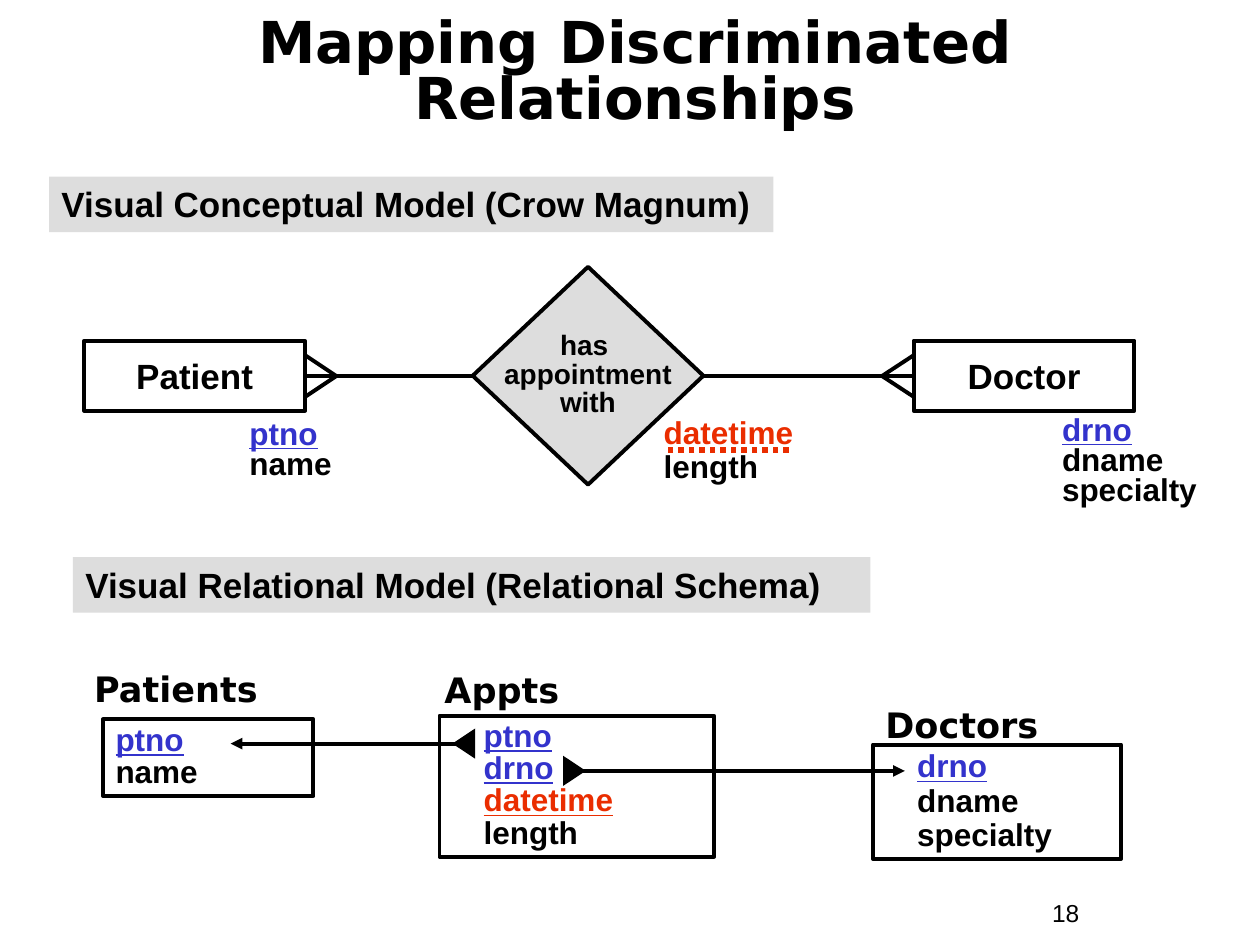
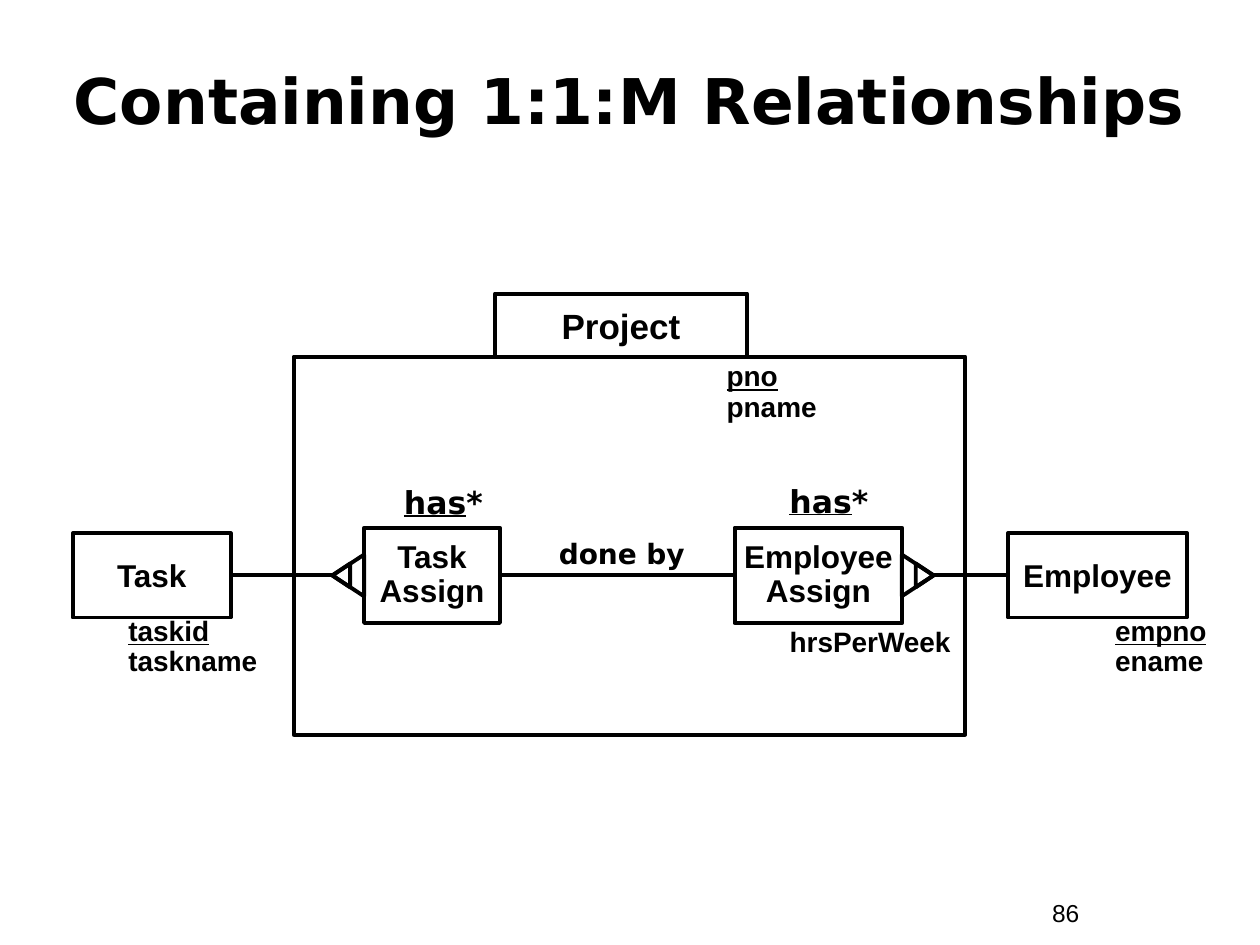
from dataclasses import dataclass
from typing import Optional

from lxml import etree
from pptx import Presentation
from pptx import util as u
from pptx.dml.color import RGBColor
from pptx.enum import dml, shapes, text
from pptx.oxml.ns import qn

COLORS = {"ink": "000000", "key": "3333CC", "discriminator": "EA2D00",
          "panel": "DDDDDD"}
BODY, DISPLAY = "Arial", "DejaVu Sans"
LINE_PT = 2.25
LEFT, CENTER = text.PP_ALIGN.LEFT, text.PP_ALIGN.CENTER
TOP, MIDDLE = text.MSO_ANCHOR.TOP, text.MSO_ANCHOR.MIDDLE
RECT = shapes.MSO_SHAPE.RECTANGLE
DIAMOND = shapes.MSO_SHAPE.FLOWCHART_DECISION
SIDE_LEFT, SIDE_RIGHT = 1, 3


@dataclass(frozen=True)
class Run:
    text: str
    color: str = "ink"
    underline: bool = False


@dataclass(frozen=True)
class Box:
    """A place in centimetres with its paragraphs, each a tuple of runs."""
    x: float
    y: float
    w: float
    h: float
    lines: tuple = ()
    size: float = 18
    font: str = BODY
    bold: bool = True
    align: text.PP_ALIGN = LEFT
    anchor: text.MSO_ANCHOR = TOP
    spacing: float = 1.0
    indent: float = 0
    wrap: bool = True
    geometry: Optional[shapes.MSO_SHAPE] = None
    fill: Optional[str] = None
    outlined: bool = False


def rgb(name: str) -> RGBColor:
    return RGBColor.from_string(COLORS[name])


def plain(*words: str) -> tuple:
    return tuple((Run(w),) for w in words)


def keyed(key: str, *others: str, color: str = "ink") -> tuple:
    """An underlined key attribute above ordinary ones."""
    return ((Run(key, color, True),),) + plain(*others)


def paint(sp, fill: Optional[str], outlined: bool) -> None:
    sp.shadow.inherit = False
    if fill:
        sp.fill.solid()
        sp.fill.fore_color.rgb = rgb(fill)
    else:
        sp.fill.background()
    if outlined:
        sp.line.color.rgb = rgb("ink")
        sp.line.width = u.Pt(LINE_PT)
    else:
        sp.line.fill.background()


def draw_box(slide, box: Box):
    place = [u.Cm(v) for v in (box.x, box.y, box.w, box.h)]
    if box.geometry is None:
        sp = slide.shapes.add_textbox(*place)
    else:
        sp = slide.shapes.add_shape(box.geometry, *place)
        paint(sp, box.fill, box.outlined)
    tf = sp.text_frame
    tf.word_wrap = box.wrap
    tf.vertical_anchor = box.anchor
    for i, runs in enumerate(box.lines):
        p = tf.add_paragraph() if i else tf.paragraphs[0]
        p.alignment = box.align
        p.line_spacing = box.spacing
        if box.indent:
            p._p.get_or_add_pPr().set("marL", str(u.Cm(box.indent)))
        for run in runs:
            r = p.add_run()
            r.text = run.text
            r.font.name, r.font.size = box.font, u.Pt(box.size)
            r.font.bold, r.font.underline = box.bold, run.underline
            r.font.color.rgb = rgb(run.color)
    return sp


def draw_line(slide, x1: float, y1: float, x2: float, y2: float,
              color: str = "ink", width: float = LINE_PT, arrow: bool = False):
    cx = slide.shapes.add_connector(shapes.MSO_CONNECTOR.STRAIGHT,
                                    u.Cm(x1), u.Cm(y1), u.Cm(x2), u.Cm(y2))
    cx.line.color.rgb = rgb(color)
    cx.line.width = u.Pt(width)
    if arrow:
        etree.SubElement(cx.line._get_or_add_ln(), qn("a:tailEnd"), type="triangle")
    etree.SubElement(cx._element.spPr, qn("a:effectLst"))
    return cx


def join(slide, left, right) -> None:
    """Connect the right side of one shape to the left side of another."""
    cx = draw_line(slide, 0, 0, 1, 1)
    cx.begin_connect(left, SIDE_RIGHT)
    cx.end_connect(right, SIDE_LEFT)


def draw_triangle(slide, cx: float, cy: float, base: float, height: float,
                  rotation: int, fill: Optional[str] = None) -> None:
    """A triangle centred on a point: rotation 90 points right, 270 left."""
    sp = slide.shapes.add_shape(
        shapes.MSO_SHAPE.ISOSCELES_TRIANGLE, u.Cm(cx - base / 2),
        u.Cm(cy - height / 2), u.Cm(base), u.Cm(height))
    sp.rotation = rotation
    paint(sp, fill, outlined=fill is None)


def entity(x: float, y: float, w: float, h: float, *words: str,
           size: float = 18, spacing: float = 1.0) -> Box:
    return Box(x, y, w, h, plain(*words), size, align=CENTER, anchor=MIDDLE,
               spacing=spacing, wrap=False, geometry=RECT, outlined=True)


def attributes(x: float, y: float, w: float, h: float, lines: tuple,
               size: float = 18, spacing: float = 0.8) -> Box:
    return Box(x, y, w, h, lines, size, spacing=spacing)


def band(x: float, y: float, w: float, caption: str) -> Box:
    return Box(x, y, w, 1.12, plain(caption), 20, geometry=RECT, fill="panel")


def table_name(x: float, y: float, name: str) -> Box:
    return Box(x, y, 5.46, 1.12, plain(name), 20, DISPLAY)


def table_box(x: float, y: float, w: float, h: float, lines: tuple,
              spacing: float = 0.85, indent: float = 0) -> Box:
    return Box(x, y, w, h, lines, spacing=spacing, indent=indent,
               geometry=RECT, outlined=True)


def new_slide(prs, title: Box, number: str):
    slide = prs.slides.add_slide(prs.slide_layouts[6])
    draw_box(slide, Box(20.96, 17.98, 2.34, 0.86, plain(number), 14, bold=False))
    draw_box(slide, title)
    return slide


def title_box(y: float, w: float, h: float, size: float, *lines: str,
              spacing: float = 1.0) -> Box:
    return Box(0.84, y, w, h, plain(*lines), size, DISPLAY, align=CENTER,
               anchor=MIDDLE, spacing=spacing)


def discriminated_slide(prs) -> None:
    slide = new_slide(prs, title_box(0.66, 23.93, 1.7, 33, "Mapping Discriminated",
                                     "Relationships", spacing=0.8), "18")
    patient_key, doctor_key = Run("ptno", "key", True), Run("drno", "key", True)
    datetime_key = Run("datetime", "discriminator", True)
    patient_lines = keyed("ptno", "name", color="key")
    doctor_lines = keyed("drno", "dname", "specialty", color="key")

    for box in (
        band(0.99, 3.56, 14.6, "Visual Conceptual Model (Crow Magnum)"),
        band(1.47, 11.23, 16.08, "Visual Relational Model (Relational Schema)"),
        table_name(1.65, 13.34, "Patients"),
        table_box(2.08, 14.5, 4.24, 1.55, patient_lines),
        table_name(8.71, 13.36, "Appts"),
        table_box(8.86, 14.43, 5.54, 2.84,
                  ((patient_key,), (doctor_key,), (datetime_key,)) + plain("length"),
                  indent=0.64),
        table_name(17.6, 14.05, "Doctors"),
        table_box(17.6, 15.01, 5, 2.31, doctor_lines, spacing=0.9, indent=0.64),
    ):
        draw_box(slide, box)

    for start, end, y, rotation in ((9.5, 4.65, 14.99, 270), (11.35, 18.24, 15.54, 90)):
        draw_line(slide, start, y, end, y, arrow=True)
        foot = 0.23 if rotation == 90 else -0.15
        draw_triangle(slide, start + foot, y, 0.61, 0.46, rotation, "ink")

    diamond = draw_box(slide, Box(
        9.53, 5.38, 4.65, 4.39, plain("has ", "appointment", "with"), 16,
        align=CENTER, anchor=MIDDLE, spacing=0.85, wrap=False,
        geometry=DIAMOND, fill="panel", outlined=True))
    patient, doctor = (draw_box(slide, entity(x, 6.87, 4.45, 1.41, name, size=20))
                       for x, name in ((1.7, "Patient"), (18.42, "Doctor")))
    join(slide, patient, diamond)
    join(slide, diamond, doctor)
    for tip, edge in ((6.78, 6.15), (17.78, 18.42)):
        for spread in (-0.42, 0.42):
            draw_line(slide, tip, 7.58, edge, 7.58 + spread)

    draw_box(slide, attributes(4.78, 8.36, 3.81, 1.47, patient_lines))
    draw_box(slide, attributes(21.16, 8.28, 3.61, 2.08, doctor_lines))
    draw_box(slide, attributes(
        13.13, 8.28, 4.24, 1.63,
        ((Run("datetime", "discriminator"),),) + plain("length"), spacing=0.9))
    dots = draw_line(slide, 15.9, 9.07, 13.36, 9.07, "discriminator", 3)
    dots.line.dash_style = dml.MSO_LINE.ROUND_DOT


def containing_slide(prs) -> None:
    slide = new_slide(prs, title_box(0.84, 23.7, 2.34, 36,
                                     "Containing 1:1:M Relationships"), "86")
    axis = 11.6
    draw_box(slide, Box(5.92, 7.19, 13.54, 7.62, geometry=RECT, outlined=True))
    draw_box(slide, entity(9.98, 5.92, 5.08, 1.27, "Project", size=20))
    task, employee = (draw_box(slide, entity(x, axis - 0.85, w, 1.7, name))
                      for x, w, name in ((1.47, 3.18, "Task"), (20.32, 3.61, "Employee")))
    task_assign, employee_assign = (
        draw_box(slide, entity(x, axis - 0.96, w, 1.92, name, "Assign", spacing=0.9))
        for x, w, name in ((7.34, 2.74, "Task"), (14.81, 3.38, "Employee")))
    join(slide, task_assign, employee_assign)

    for owner, side, tip, toward, rotation in ((task, SIDE_RIGHT, 6.7, 1, 270),
                                               (employee, SIDE_LEFT, 18.82, -1, 90)):
        cx = draw_line(slide, tip - toward, axis, tip, axis)
        cx.begin_connect(owner, side)
        for base, height in ((0.84, 0.64), (0.48, 0.36)):
            draw_triangle(slide, tip + toward * height / 2, axis, base, height, rotation)

    draw_box(slide, Box(10.21, 10.8, 4.65, 0.84, plain("done by"), 16, DISPLAY,
                        align=CENTER, spacing=0.85))
    for x, y in ((6.4, 9.73), (14.17, 9.7)):
        draw_box(slide, Box(x, y, 5.08, 0.91, ((Run("has", underline=True), Run("*")),),
                            18, DISPLAY, align=CENTER, spacing=0.85))
    for x, y, w, h, lines in (
        (14.4, 7.19, 2.54, 1.47, keyed("pno", "pname")),
        (22.23, 12.32, 2.54, 1.47, keyed("empno", "ename")),
        (2.34, 12.32, 3.18, 1.47, keyed("taskid", "taskname")),
        (15.67, 12.55, 4.45, 0.86, plain("hrsPerWeek")),
    ):
        draw_box(slide, attributes(x, y, w, h, lines, size=16, spacing=0.9))


def main() -> None:
    prs = Presentation()
    prs.slide_width, prs.slide_height = u.Cm(25.4), u.Cm(19.05)
    discriminated_slide(prs)
    containing_slide(prs)
    prs.save("out.pptx")


if __name__ == "__main__":
    main()
